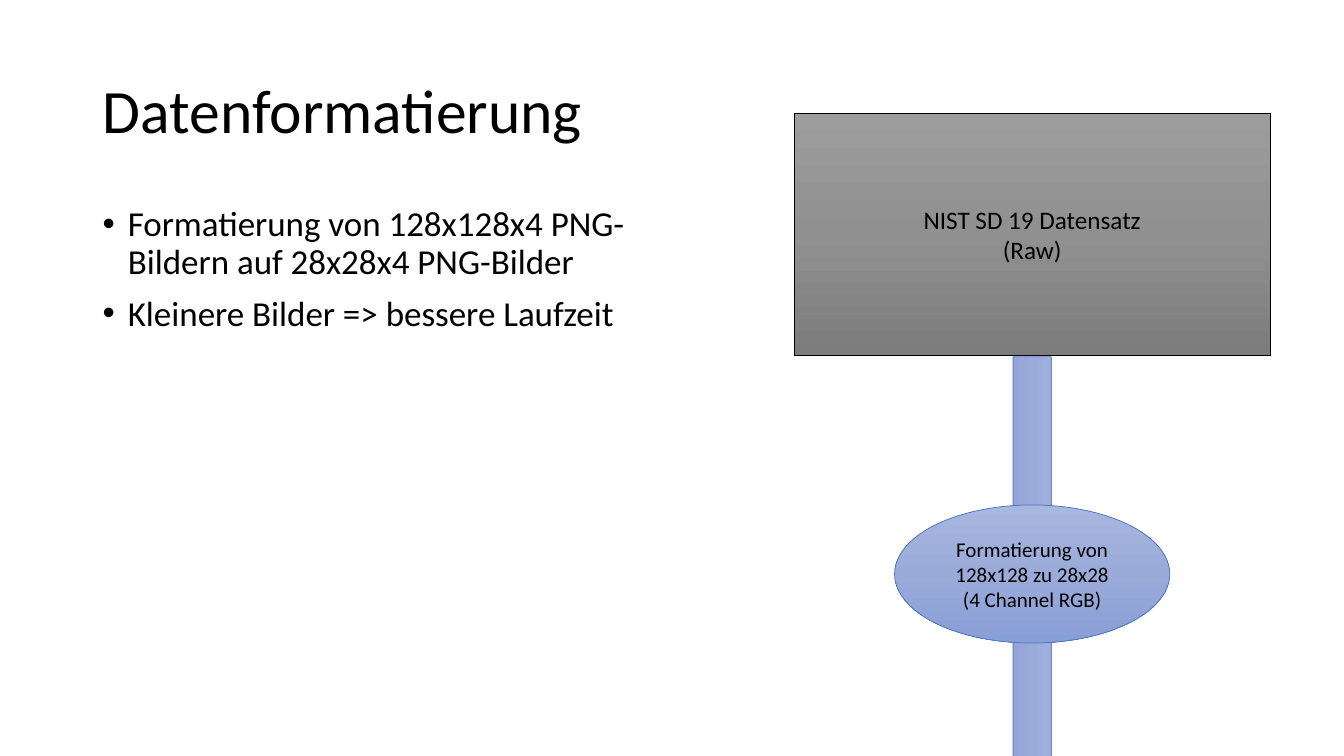
from copy import deepcopy
from dataclasses import dataclass

from pptx import Presentation
from pptx.dml.color import RGBColor
from pptx.enum.shapes import MSO_SHAPE as Preset
from pptx.enum.text import MSO_ANCHOR as Anchor, PP_ALIGN as Align
from pptx.oxml.ns import qn
from pptx.slide import Slide
from pptx.text.text import TextFrame, _Paragraph as Paragraph
from pptx.util import Emu, Inches, Pt
from lxml.etree import SubElement

SLIDE_WIDTH, SLIDE_HEIGHT = Inches(13.333), Inches(7.5)
FONT = "Calibri"

BLACK = RGBColor(0x00, 0x00, 0x00)
BLUE = RGBColor(0x44, 0x72, 0xC4)
GREY_SHADES = (RGBColor(0x9D, 0x9D, 0x9D), RGBColor(0x90, 0x90, 0x90), RGBColor(0x7C, 0x7C, 0x7C))
BLUE_SHADES = (RGBColor(0xA8, 0xB7, 0xDF), RGBColor(0x9A, 0xAB, 0xD9), RGBColor(0x88, 0x9E, 0xD7))

# Positions and sizes are percentages of the slide's width and height.
TEXT_LEFT = 6.9
FLOW_AXIS = 76.8


@dataclass(frozen=True)
class TextBlock:
    lines: tuple[str, ...]
    top: float
    width: float
    height: float
    size: int
    anchor: Anchor = Anchor.TOP
    bulleted: bool = False


@dataclass(frozen=True)
class FlowStep:
    """A shape centred on the flow axis; its size is given before rotation."""
    preset: Preset
    top: float
    width: float
    height: float
    shades: tuple[RGBColor, ...]
    outline: RGBColor
    lines: tuple[str, ...] = ()
    size: int = 18
    rotation: int = 0


TEXT_BLOCKS = (
    TextBlock(("Datenformatierung",), 5.33, 86.25, 19.33, 44, Anchor.MIDDLE),
    TextBlock(
        ("Formatierung von 128x128x4 PNG-Bildern auf 28x28x4 PNG-Bilder",
         "Kleinere Bilder => bessere Laufzeit"),
        26.67, 43.13, 63.47, 25, bulleted=True,
    ),
)

FLOW_STEPS = (
    FlowStep(Preset.RECTANGLE, 14.93, 35.4, 32.13, GREY_SHADES, BLACK,
             ("NIST SD 19 Datensatz", "(Raw)")),
    FlowStep(Preset.RIGHT_ARROW, 71.2, 32.7, 10.13, BLUE_SHADES, BLUE, rotation=90),
    FlowStep(Preset.OVAL, 66.8, 20.48, 18.27, BLUE_SHADES, BLUE,
             ("Formatierung von 128x128 zu 28x28", "(4 Channel RGB)"), 15),
)


def across(percent: float) -> Emu:
    return Emu(round(SLIDE_WIDTH * percent / 100))


def down(percent: float) -> Emu:
    return Emu(round(SLIDE_HEIGHT * percent / 100))


def write_lines(frame: TextFrame, lines: tuple[str, ...], size: int, anchor: Anchor) -> None:
    frame.word_wrap = True
    frame.vertical_anchor = anchor
    frame.text = "\n".join(lines)
    for paragraph in frame.paragraphs:
        paragraph.font.name = FONT
        paragraph.font.size = Pt(size)
        paragraph.font.color.rgb = BLACK


def add_bullet(paragraph: Paragraph) -> None:
    paragraph.space_before = Pt(10)
    properties = paragraph._p.get_or_add_pPr()
    properties.set("marL", str(Inches(0.25)))
    properties.set("indent", str(-Inches(0.25)))
    bullet_font = SubElement(properties, qn("a:buFont"))
    bullet_font.set("typeface", "Arial")
    bullet = SubElement(properties, qn("a:buChar"))
    bullet.set("char", "•")


def add_text_block(slide: Slide, block: TextBlock) -> None:
    box = slide.shapes.add_textbox(
        across(TEXT_LEFT), down(block.top), across(block.width), down(block.height))
    write_lines(box.text_frame, block.lines, block.size, block.anchor)
    for paragraph in box.text_frame.paragraphs:
        paragraph.line_spacing = 0.9
        if block.bulleted:
            add_bullet(paragraph)


def add_flow_step(slide: Slide, step: FlowStep) -> None:
    shape = slide.shapes.add_shape(
        step.preset, across(FLOW_AXIS - step.width / 2), down(step.top),
        across(step.width), down(step.height))
    shape.rotation = step.rotation
    shape.shadow.inherit = False
    shape.line.color.rgb = step.outline
    shape.line.width = Pt(0.5)

    shape.fill.gradient()
    shape.fill.gradient_angle = 270
    stop_list = shape._element.spPr.find(f"{qn('a:gradFill')}/{qn('a:gsLst')}")
    stop_list.append(deepcopy(stop_list[0]))
    last = len(step.shades) - 1
    for index, (stop, shade) in enumerate(zip(shape.fill.gradient_stops, step.shades)):
        stop.position = index / last
        stop.color.rgb = shade

    if step.lines:
        write_lines(shape.text_frame, step.lines, step.size, Anchor.MIDDLE)
        for paragraph in shape.text_frame.paragraphs:
            paragraph.alignment = Align.CENTER


def main() -> None:
    presentation = Presentation()
    presentation.slide_width, presentation.slide_height = SLIDE_WIDTH, SLIDE_HEIGHT
    slide = presentation.slides.add_slide(presentation.slide_layouts[6])
    for block in TEXT_BLOCKS:
        add_text_block(slide, block)
    for step in FLOW_STEPS:
        add_flow_step(slide, step)
    presentation.save("out.pptx")


if __name__ == "__main__":
    main()
